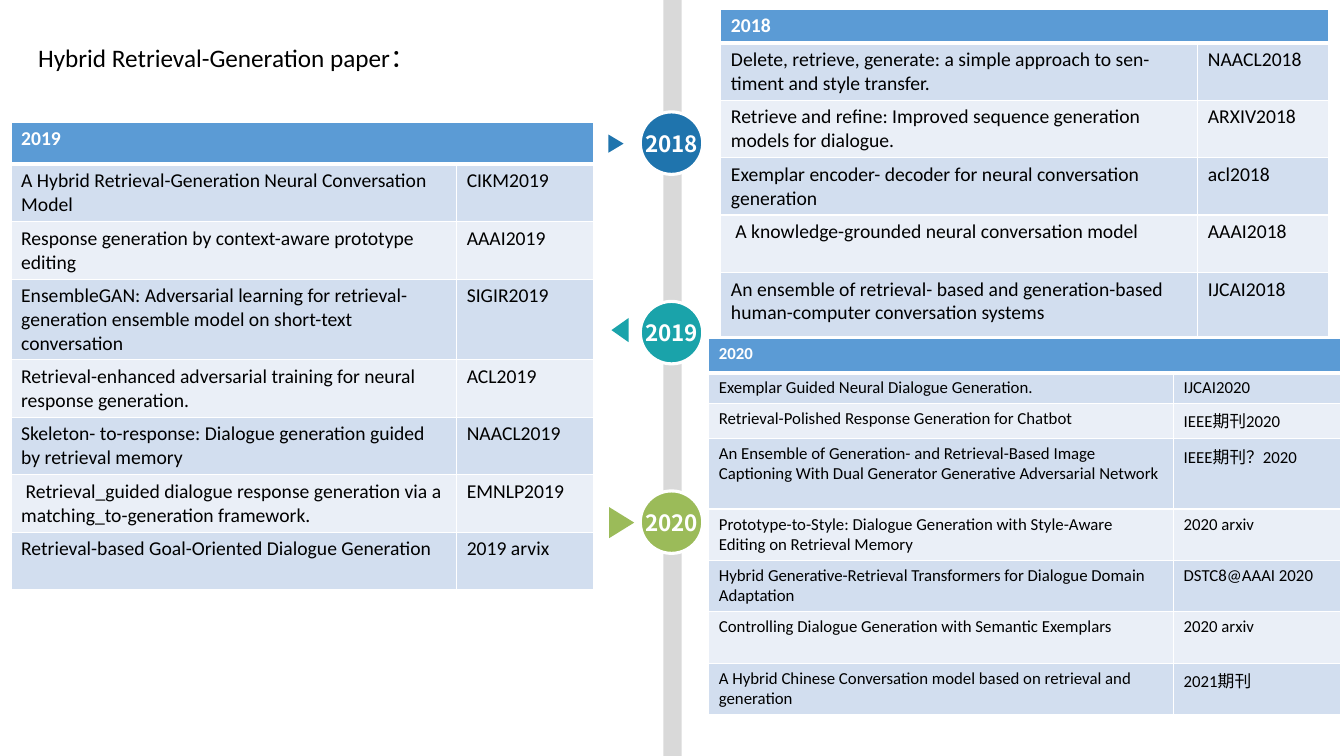
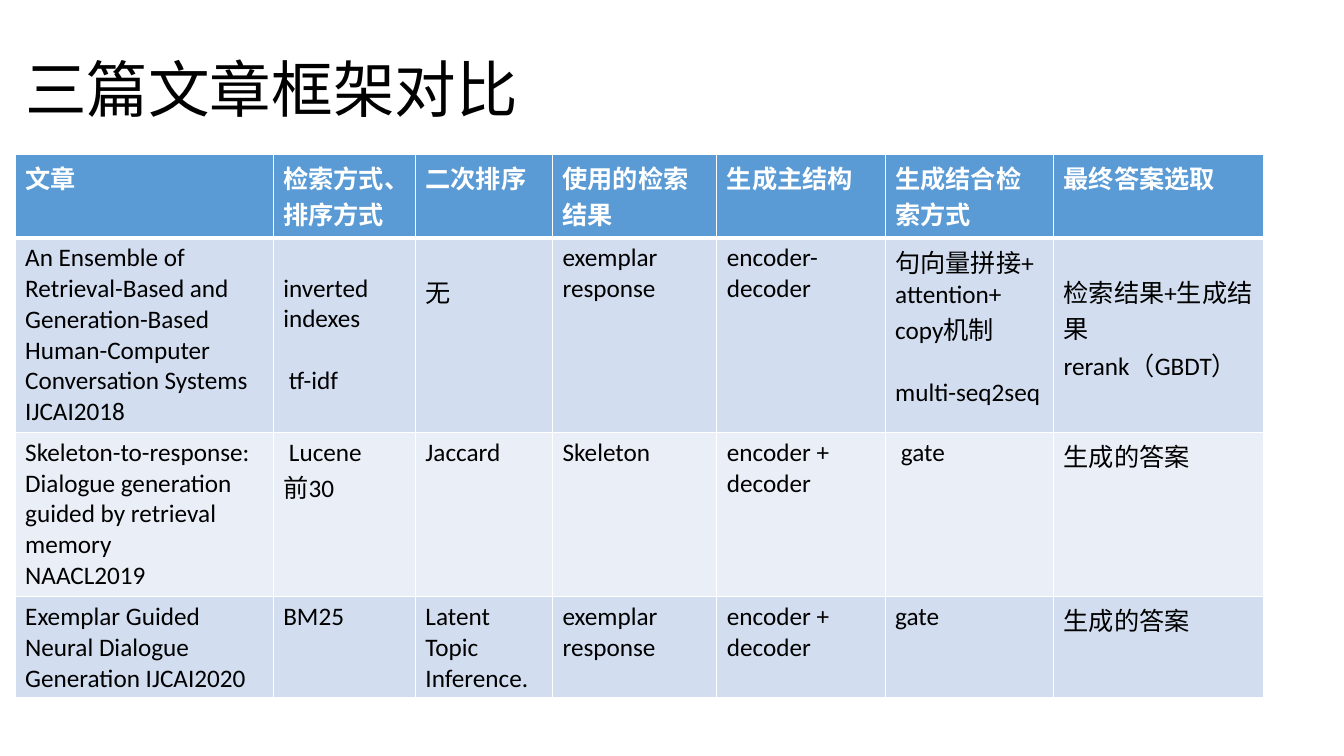
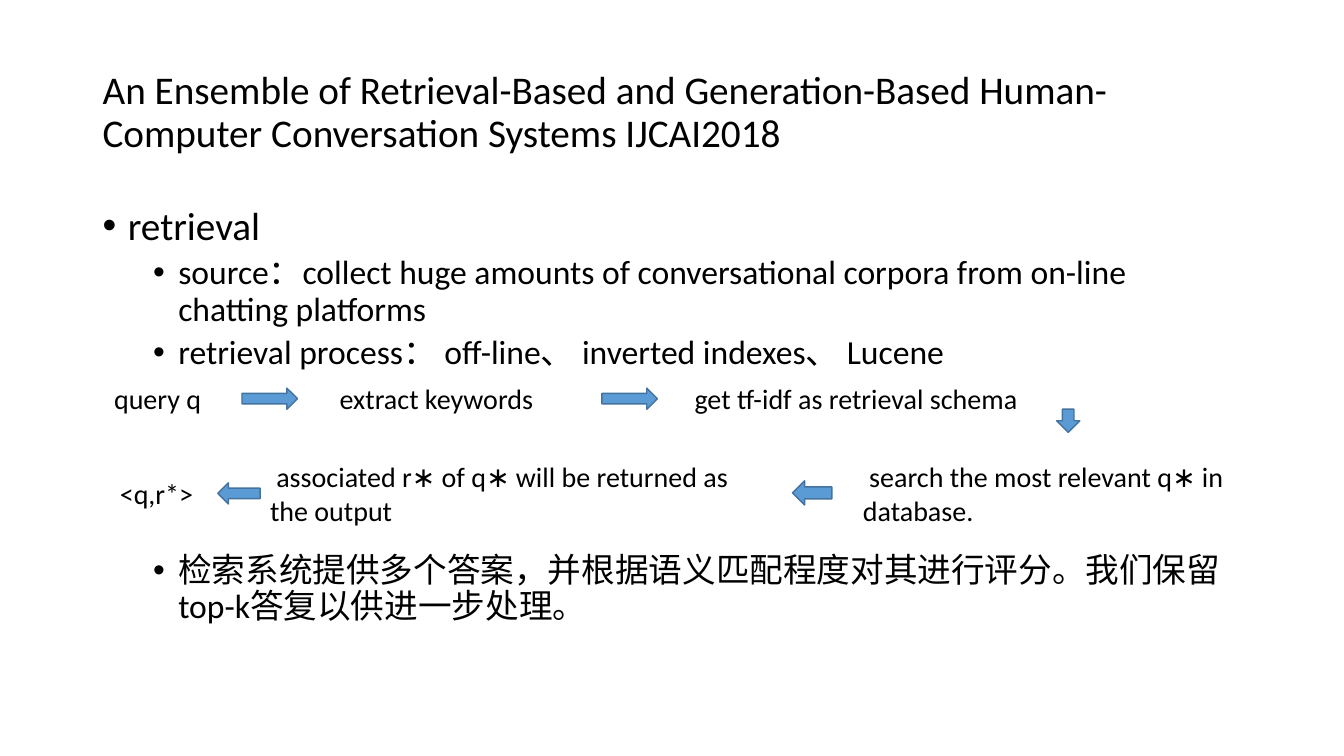
from dataclasses import dataclass

from lxml.etree import SubElement
from pptx import Presentation
from pptx.dml.color import RGBColor
from pptx.enum.shapes import MSO_SHAPE as Preset
from pptx.enum.text import MSO_ANCHOR as Anchor, PP_ALIGN as Align
from pptx.oxml.ns import qn
from pptx.util import Inches, Pt

BLACK = RGBColor(0x00, 0x00, 0x00)
WHITE = RGBColor(0xFF, 0xFF, 0xFF)
HEADER = RGBColor(0x5B, 0x9B, 0xD5)
BANDS = (RGBColor(0xD2, 0xDE, 0xEF), RGBColor(0xEA, 0xEF, 0xF7))
ARROW_EDGE = RGBColor(0x43, 0x73, 0x9E)
TRACK = RGBColor(0xD9, 0xD9, 0xD9)
BLUE = RGBColor(0x1F, 0x74, 0xAD)
TEAL = RGBColor(0x1A, 0xA3, 0xAA)
GREEN = RGBColor(0x9B, 0xBB, 0x59)
LATIN, ASIAN = "Calibri", "Noto Sans CJK SC"
CELL_TOP = 0.05


@dataclass
class Entry:
    text: str
    top: float = CELL_TOP
    last_gap: float = 0


def inches(*lengths):
    return [Inches(length) for length in lengths]


def apply(target, formats):
    for name, value in formats.items():
        setattr(target, name, value)


def add_span(para, text, size, color=BLACK, bold=False, font=LATIN):
    span = para.add_run()
    span.text = text
    apply(span.font, {"name": font, "size": Pt(size), "bold": bold})
    span.font.color.rgb = color
    SubElement(span._r.get_or_add_rPr(), qn("a:ea")).set("typeface", ASIAN)


def add_text(page, box, text, size, anchor=Anchor.TOP, spacing=1.0):
    frame = page.shapes.add_textbox(*inches(*box)).text_frame
    apply(frame, {"word_wrap": True, "vertical_anchor": anchor})
    para = frame.paragraphs[0]
    para.line_spacing = spacing
    add_span(para, text, size)


def add_title(page, box, text, size):
    add_text(page, box, text, size, Anchor.MIDDLE, 0.9)


def add_figure(page, preset, box, fill, edge=None, width=1):
    shape = page.shapes.add_shape(preset, *inches(*box))
    shape.shadow.inherit = False
    shape.fill.solid()
    shape.fill.fore_color.rgb = fill
    if edge is None:
        shape.line.fill.background()
    else:
        shape.line.color.rgb = edge
        shape.line.width = Pt(width)
    return shape


def add_border(cell, side, width):
    line = SubElement(cell._tc.get_or_add_tcPr(), qn("a:ln" + side), w=str(Pt(width)))
    fill = SubElement(line, qn("a:solidFill"))
    SubElement(fill, qn("a:srgbClr"), val=str(WHITE))


def fill_cell(cell, entry, row, size):
    if isinstance(entry, str):
        entry = Entry(entry)
    thick = {"T": row == 1, "B": row == 0}
    for side in "LRTB":
        add_border(cell, side, 3 if thick.get(side) else 1)
    cell.fill.solid()
    cell.fill.fore_color.rgb = BANDS[(row - 1) % 2] if row else HEADER
    cell.margin_top = Inches(entry.top)
    lines = entry.text.split("\n")
    for index, text in enumerate(lines):
        para = cell.text_frame.paragraphs[0] if index == 0 else cell.text_frame.add_paragraph()
        if index and index == len(lines) - 1:
            para.space_before = Pt(entry.last_gap)
        add_span(para, text, size, BLACK if row else WHITE, row == 0)


def add_grid(page, left, top, widths, heights, rows, size):
    box = inches(left, top, sum(widths), sum(heights))
    table = page.shapes.add_table(len(heights), len(widths), *box).table
    for column, width in zip(table.columns, widths):
        column.width = Inches(width)
    for row, height in zip(table.rows, heights):
        row.height = Inches(height)
    for row, entries in enumerate(rows):
        if len(entries) < len(widths):
            table.cell(row, 0).merge(table.cell(row, len(widths) - 1))
        for column, entry in enumerate(entries):
            fill_cell(table.cell(row, column), entry, row, size)


def add_timeline(page, left, top, height):
    add_figure(page, Preset.RECTANGLE, (left + 0.23, top, 0.18, height), TRACK)
    years = [
        ("2018", BLUE, 90, (-0.33, 0.24, 0.18, 0.15)),
        ("2019", TEAL, 270, (-0.32, 0.2, 0.24, 0.17)),
        ("2020", GREEN, 90, (-0.34, 0.19, 0.31, 0.25)),
    ]
    for index, (year, color, turn, pointer) in enumerate(years):
        y = top + 1.11 + 1.88 * index
        circle = add_figure(page, Preset.OVAL, (left, y, 0.62, 0.62), color, WHITE, 2.25)
        apply(circle.text_frame, {"word_wrap": False, "vertical_anchor": Anchor.MIDDLE})
        para = circle.text_frame.paragraphs[0]
        para.alignment = Align.CENTER
        add_span(para, year, 16, WHITE, True, ASIAN)
        dx, dy, width, depth = pointer
        box = (left + dx, y + dy, width, depth)
        add_figure(page, Preset.ISOSCELES_TRIANGLE, box, color).rotation = turn


def add_bullets(page, box, items):
    frame = page.shapes.add_textbox(*inches(*box)).text_frame
    frame.word_wrap = True
    for index, (text, size, indent, before) in enumerate(items):
        para = frame.add_paragraph() if index else frame.paragraphs[0]
        apply(para, {"line_spacing": 0.9, "level": 1 if indent > 0.5 else 0})
        if index:
            para.space_before = Pt(before)
        props = para._p.get_or_add_pPr()
        props.set("marL", str(Inches(indent)))
        props.set("indent", str(Inches(-0.25)))
        SubElement(props, qn("a:buFont")).set("typeface", "Arial")
        SubElement(props, qn("a:buChar")).set("char", "•")
        add_span(para, text, size)


def add_flow(page, left, top):
    steps = [
        (0, 0, 1.25, 0.44, " query q"),
        (2.3, 0, 3.51, 0.44, "extract keywords"),
        (5.82, 0, 4.18, 0.44, "get tf-idf as retrieval schema"),
        (7.49, 0.77, 4.88, 0.77, " search the most relevant q∗ in database."),
        (1.61, 0.77, 5.17, 0.77, " associated r∗ of q∗ will be returned as the output"),
        (0.12, 0.94, 1.14, 0.44, "<q,r*>"),
    ]
    for x, y, width, height, text in steps:
        add_text(page, (left + x, top + y, width, height), text, 20)
    arrows = [
        (Preset.RIGHT_ARROW, 1.43, 0.11, 0.55, 0.21),
        (Preset.RIGHT_ARROW, 5, 0.11, 0.55, 0.21),
        (Preset.DOWN_ARROW, 9.51, 0.32, 0.23, 0.23),
        (Preset.LEFT_ARROW, 6.89, 1.03, 0.39, 0.24),
        (Preset.LEFT_ARROW, 1.19, 1.05, 0.42, 0.21),
    ]
    for preset, x, y, width, height in arrows:
        add_figure(page, preset, (left + x, top + y, width, height), HEADER, ARROW_EDGE)


PAPERS_2018 = [
    ("2018",),
    ("Delete, retrieve, generate: a simple approach to sen- timent and style transfer.", "NAACL2018"),
    ("Retrieve and refine: Improved sequence generation models for dialogue.", "ARXIV2018"),
    ("Exemplar encoder- decoder for neural conversation generation", "acl2018"),
    (" A knowledge-grounded neural conversation model", "AAAI2018"),
    ("An ensemble of retrieval- based and generation-based human-computer conversation systems",
     "IJCAI2018"),
]
PAPERS_2019 = [
    ("2019",),
    ("A Hybrid Retrieval-Generation Neural Conversation Model", "CIKM2019"),
    ("Response generation by context-aware prototype editing", "AAAI2019"),
    ("EnsembleGAN: Adversarial learning for retrieval-generation ensemble model on short-text "
     "conversation", "SIGIR2019"),
    ("Retrieval-enhanced adversarial training for neural response generation.", "ACL2019"),
    ("Skeleton- to-response: Dialogue generation guided by retrieval memory", "NAACL2019"),
    (" Retrieval_guided dialogue response generation via a matching_to-generation framework.",
     "EMNLP2019"),
    ("Retrieval-based Goal-Oriented Dialogue Generation", "2019 arvix"),
]
PAPERS_2020 = [
    ("2020",),
    ("Exemplar Guided Neural Dialogue Generation.", "IJCAI2020"),
    ("Retrieval-Polished Response Generation for Chatbot", "IEEE期刊2020"),
    ("An Ensemble of Generation- and Retrieval-Based Image Captioning With Dual Generator "
     "Generative Adversarial Network", "IEEE期刊？2020"),
    ("Prototype-to-Style: Dialogue Generation with Style-Aware Editing on Retrieval Memory",
     "2020 arxiv"),
    ("Hybrid Generative-Retrieval Transformers for Dialogue Domain Adaptation", "DSTC8@AAAI 2020"),
    ("Controlling Dialogue Generation with Semantic Exemplars", "2020 arxiv"),
    ("A Hybrid Chinese Conversation model based on retrieval and generation", "2021期刊"),
]
FRAMEWORKS = [
    ("文章", "检索方式、排序方式", "二次排序", "使用的检索结果", "生成主结构", "生成结合检索方式",
     "最终答案选取"),
    ("An Ensemble of Retrieval-Based and Generation-Based Human-Computer Conversation Systems "
     "IJCAI2018",
     Entry("inverted indexes\n tf-idf", 0.35, 22), Entry("无", 0.35), "exemplar response",
     "encoder-decoder", Entry("句向量拼接+\nattention+ copy机制\nmulti-seq2seq", last_gap=22),
     Entry("检索结果+生成结果\nrerank（GBDT）", 0.35)),
    ("Skeleton-to-response: Dialogue generation guided by retrieval memory\nNAACL2019",
     " Lucene\n前30", "Jaccard", "Skeleton", "encoder + decoder", " gate", "生成的答案"),
    ("Exemplar Guided Neural Dialogue Generation IJCAI2020", "BM25", "Latent Topic Inference.",
     "exemplar response", "encoder + decoder", "gate", "生成的答案"),
]
RETRIEVAL = [
    ("retrieval", 28, 0.25, 0),
    ("source：collect huge amounts of conversational corpora from on-line chatting platforms",
     24, 0.75, 5),
    ("retrieval process： off-line、 inverted indexes、 Lucene", 24, 0.75, 5),
    ("检索系统提供多个答案，并根据语义匹配程度对其进行评分。我们保留top-k答复以供进一步处理。",
     24, 0.75, 130),
]


def build_papers(page):
    add_title(page, (0.28, 0.4, 5.25, 0.38), "Hybrid Retrieval-Generation paper：", 18)
    add_timeline(page, 6.35, 0, 7.5)
    add_grid(page, 7.15, 0.09, (4.73, 1.3), (0.33, *[0.57] * 4, 0.64), PAPERS_2018, 14)
    heights = (0.42, 0.57, 0.57, 0.8, *[0.57] * 4)
    add_grid(page, 0.11, 1.21, (4.42, 1.36), heights, PAPERS_2019, 14)
    heights = (0.34, 0.29, 0.35, 0.7, *[0.51] * 4)
    add_grid(page, 7.03, 3.36, (4.61, 1.66), heights, PAPERS_2020, 12)


def build_comparison(page):
    add_title(page, (0.15, 0.19, 11.5, 1.45), "三篇文章框架对比", 44)
    widths = (2.56, 1.41, 1.36, 1.63, 1.67, 1.67, 2.08)
    add_grid(page, 0.15, 1.53, widths, (0.83, 1.93, 1.63, 1), FRAMEWORKS, 18)


def build_retrieval(page):
    title = ("An Ensemble of Retrieval-Based and Generation-Based Human-Computer Conversation "
             "Systems IJCAI2018")
    add_title(page, (0.92, 0.4, 11.5, 1.45), title, 28)
    add_bullets(page, (0.92, 2, 11.5, 4.76), RETRIEVAL)
    add_flow(page, 0.97, 3.74)


def main():
    deck = Presentation()
    apply(deck, {"slide_width": Inches(13.33), "slide_height": Inches(7.5)})
    for build in (build_papers, build_comparison, build_retrieval):
        build(deck.slides.add_slide(deck.slide_layouts[6]))
    deck.save("out.pptx")


if __name__ == "__main__":
    main()
